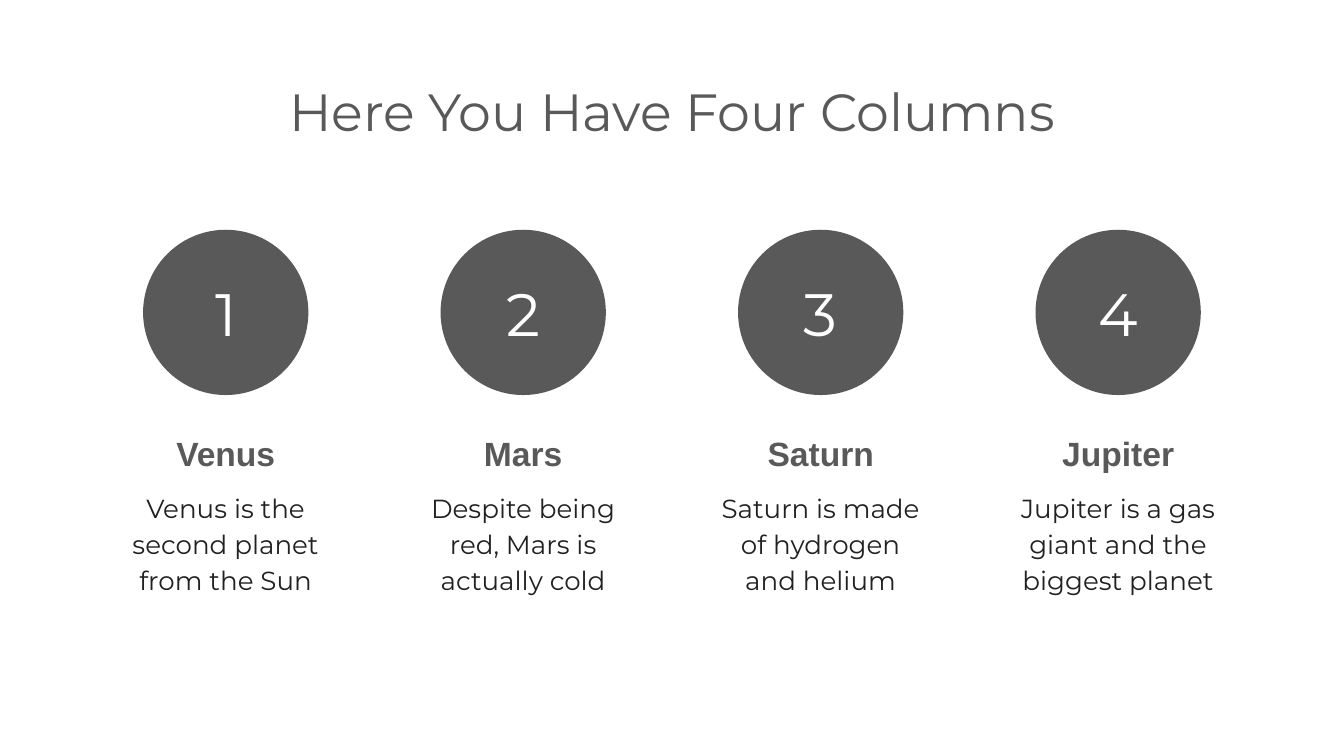
from pptx import Presentation
from pptx.dml.color import RGBColor
from pptx.enum import shapes, text
from pptx.util import Inches, Pt

TITLE = "Here You Have Four Columns"
PLANETS = [
    ("Venus", "Venus is the second planet from the Sun"),
    ("Mars", "Despite being red, Mars is actually cold"),
    ("Saturn", "Saturn is made of hydrogen and helium"),
    ("Jupiter", "Jupiter is a gas giant and the biggest planet"),
]

GREY, INK, WHITE = (RGBColor.from_string(c) for c in ("595959", "212121", "FFFFFF"))
THEME = {
    "title": dict(name="Montserrat", size=Pt(28), color=GREY),
    "number": dict(name="Montserrat", size=Pt(32), color=WHITE),
    "name": dict(name="Arial", size=Pt(18), color=GREY, bold=True),
    "body": dict(name="Montserrat", size=Pt(14), color=INK),
}
SPACED = dict(line_spacing=1.15, space_after=Pt(16))

PAGE = 10
LEFT, WIDTH, COUNT = 0.78, 1.8, len(PLANETS)
PITCH = (PAGE - 2 * LEFT - WIDTH) / (COUNT - 1)
CIRCLE, NUMBER = 1.23, 0.58
CIRCLE_TOP, NAME_TOP, BODY_TOP = 1.71, 3.08, 3.53

MIDDLE = text.MSO_ANCHOR.MIDDLE
TOP = text.MSO_ANCHOR.TOP


def add_text(slide, words, style, box, anchor=TOP, spacing=None):
    frame = slide.shapes.add_textbox(*map(Inches, box)).text_frame
    frame.word_wrap = True
    frame.vertical_anchor = anchor
    for side in ("left", "top", "right", "bottom"):
        setattr(frame, f"margin_{side}", Inches(0.1))
    para = frame.paragraphs[0]
    para.alignment = text.PP_ALIGN.CENTER
    for key, value in (spacing or {}).items():
        setattr(para, key, value)
    run = para.add_run()
    run.text = words
    for key, value in THEME[style].items():
        if key == "color":
            run.font.color.rgb = value
        else:
            setattr(run.font, key, value)


def add_circle(slide, box):
    disc = slide.shapes.add_shape(shapes.MSO_SHAPE.OVAL, *map(Inches, box))
    disc.shadow.inherit = False
    disc.fill.solid()
    disc.fill.fore_color.rgb = GREY
    disc.line.fill.background()


def add_column(slide, index, name, body):
    left = LEFT + index * PITCH
    mid = left + WIDTH / 2
    number_top = CIRCLE_TOP + (CIRCLE - NUMBER) / 2
    add_circle(slide, (mid - CIRCLE / 2, CIRCLE_TOP, CIRCLE, CIRCLE))
    add_text(slide, str(index + 1), "number",
             (mid - NUMBER / 2, number_top, NUMBER, NUMBER), MIDDLE)
    add_text(slide, name, "name", (left, NAME_TOP, WIDTH, 0.63), spacing=SPACED)
    add_text(slide, body, "body", (left, BODY_TOP, WIDTH, 1.04), spacing=SPACED)


def main():
    deck = Presentation()
    deck.slide_width, deck.slide_height = Inches(PAGE), Inches(PAGE * 9 / 16)
    slide = deck.slides.add_slide(deck.slide_layouts[6])
    add_text(slide, TITLE, "title", (LEFT, 0.49, PAGE - 2 * LEFT, 0.63))
    for index, (name, body) in enumerate(PLANETS):
        add_column(slide, index, name, body)
    deck.save("out.pptx")


if __name__ == "__main__":
    main()
